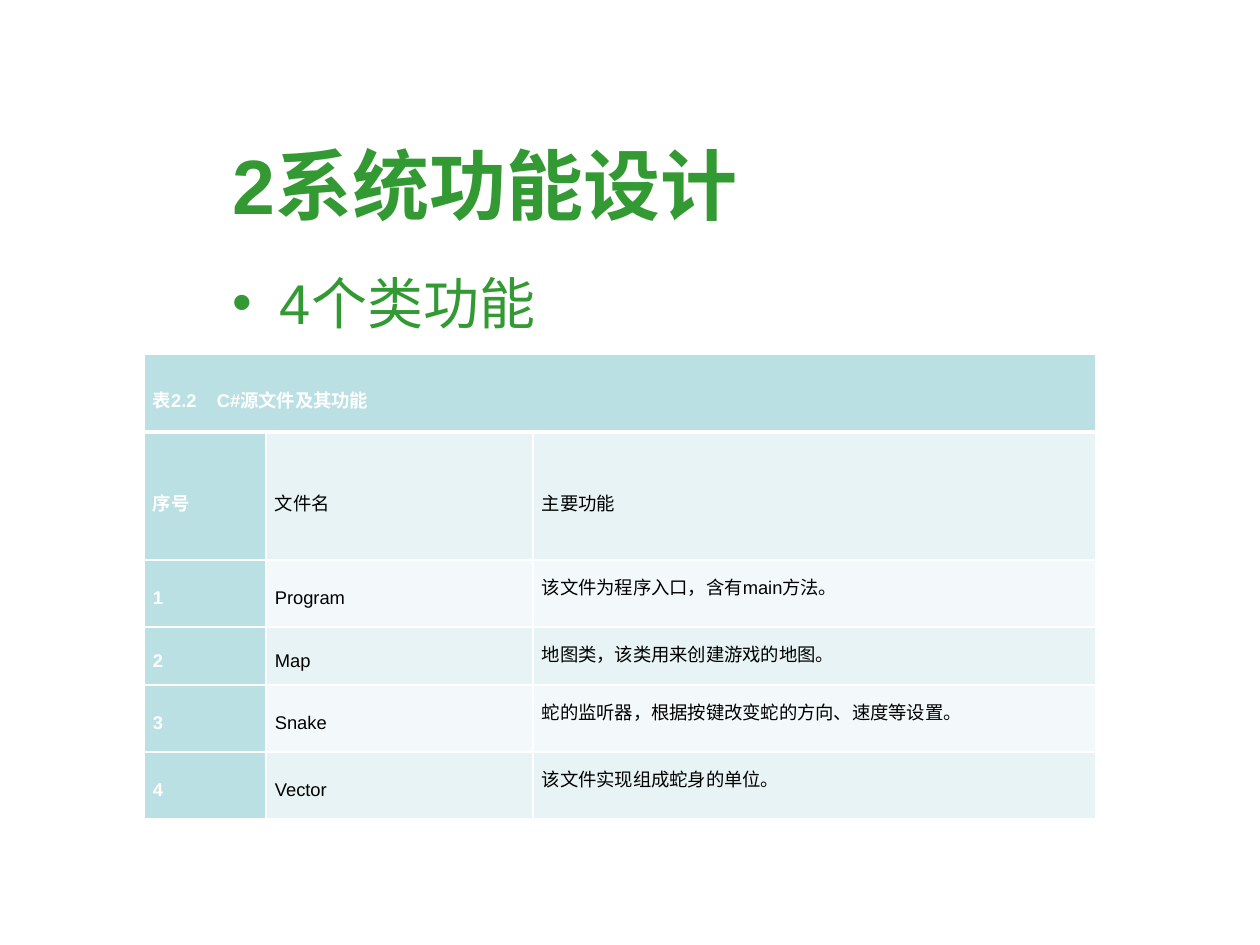
from lxml import etree
from pptx import Presentation
from pptx.dml.color import RGBColor
from pptx.enum.text import MSO_ANCHOR, PP_ALIGN
from pptx.oxml.ns import qn
from pptx.util import Pt

PX = 914400 / 126
GREEN = RGBColor(0x33, 0x99, 0x33)
WHITE = RGBColor(0xFF, 0xFF, 0xFF)
BLACK = RGBColor(0, 0, 0)
TEAL = RGBColor(0xBB, 0xE0, 0xE3)
BAND_DARK = RGBColor(0xE7, 0xF3, 0xF4)
BAND_LIGHT = RGBColor(0xF3, 0xF9, 0xFA)
LEFT, JUSTIFY = PP_ALIGN.LEFT, PP_ALIGN.JUSTIFY
TOP, MIDDLE = MSO_ANCHOR.TOP, MSO_ANCHOR.MIDDLE


def px(length):
    return round(length * PX)


def write(frame, text, size, color, bold=False, align=LEFT, anchor=TOP, spacing=None):
    frame.word_wrap = True
    frame.vertical_anchor = anchor
    para = frame.paragraphs[0]
    para.alignment = align
    para.line_spacing = spacing
    span = para.add_run()
    span.text = text
    span.font.name = "Arial"
    span.font.size = Pt(size)
    span.font.bold = bold
    span.font.color.rgb = color
    return para


deck = Presentation()
deck.slide_width, deck.slide_height = px(1260), px(945)
page = deck.slides.add_slide(deck.slide_layouts[1])

# Title and bullet
title, body = page.placeholders
title.left, title.top, title.width, title.height = px(220), px(116), px(977), px(136)
write(title.text_frame, "2系统功能设计", 44, GREEN, bold=True, anchor=MIDDLE)
body.left, body.top, body.width, body.height = px(220), px(262), px(977), px(557)
write(body.text_frame, "4个类功能", 32, GREEN)

# Table of source files
rows = [
    ["表2.2\tC#源文件及其功能"],
    ["序号", "文件名", "主要功能"],
    ["1", "Program", "该文件为程序入口，含有main方法。"],
    ["2", "Map", "地图类，该类用来创建游戏的地图。"],
    ["3", "Snake", "蛇的监听器，根据按键改变蛇的方向、速度等设置。"],
    ["4", "Vector", "该文件实现组成蛇身的单位。"],
]
widths = [122, 267, 563]
heights = [78, 128, 67, 58, 67, 67]
table = page.shapes.add_table(len(rows), len(widths), px(144), px(354),
                              px(sum(widths)), px(sum(heights))).table
for column, width in zip(table.columns, widths):
    column.width = px(width)
for row, height in zip(table.rows, heights):
    row.height = px(height)
table.cell(0, 0).merge(table.cell(0, 2))

for r in range(len(rows)):
    for c in range(len(widths)):
        cell = table.cell(r, c)
        heading = r == 0 or c == 0

        # White borders, thicker below the caption row
        for side in ("lnL", "lnR", "lnT", "lnB"):
            thick = (r, side) in ((0, "lnB"), (1, "lnT"))
            line = etree.SubElement(cell._tc.get_or_add_tcPr(), qn("a:" + side),
                                    w=str(Pt(3 if thick else 1)))
            paint = etree.SubElement(line, qn("a:solidFill"))
            etree.SubElement(paint, qn("a:srgbClr"), val=str(WHITE))

        cell.fill.solid()
        cell.fill.fore_color.rgb = TEAL if heading else BAND_DARK if r % 2 else BAND_LIGHT
        cell.margin_left = cell.margin_right = px(9)
        cell.margin_top = cell.margin_bottom = 0
        cell.vertical_anchor = TOP if r > 1 and c == 2 else MIDDLE
        if c < len(rows[r]):
            para = write(cell.text_frame, rows[r][c], 10.5, WHITE if heading else BLACK,
                         bold=heading, align=JUSTIFY, anchor=None, spacing=1.5)
            if r == 0:
                # Tab stop between the table number and its caption
                stops = etree.SubElement(para._p.get_or_add_pPr(), qn("a:tabLst"))
                etree.SubElement(stops, qn("a:tab"), pos=str(px(64)), algn="l")

deck.save("out.pptx")
